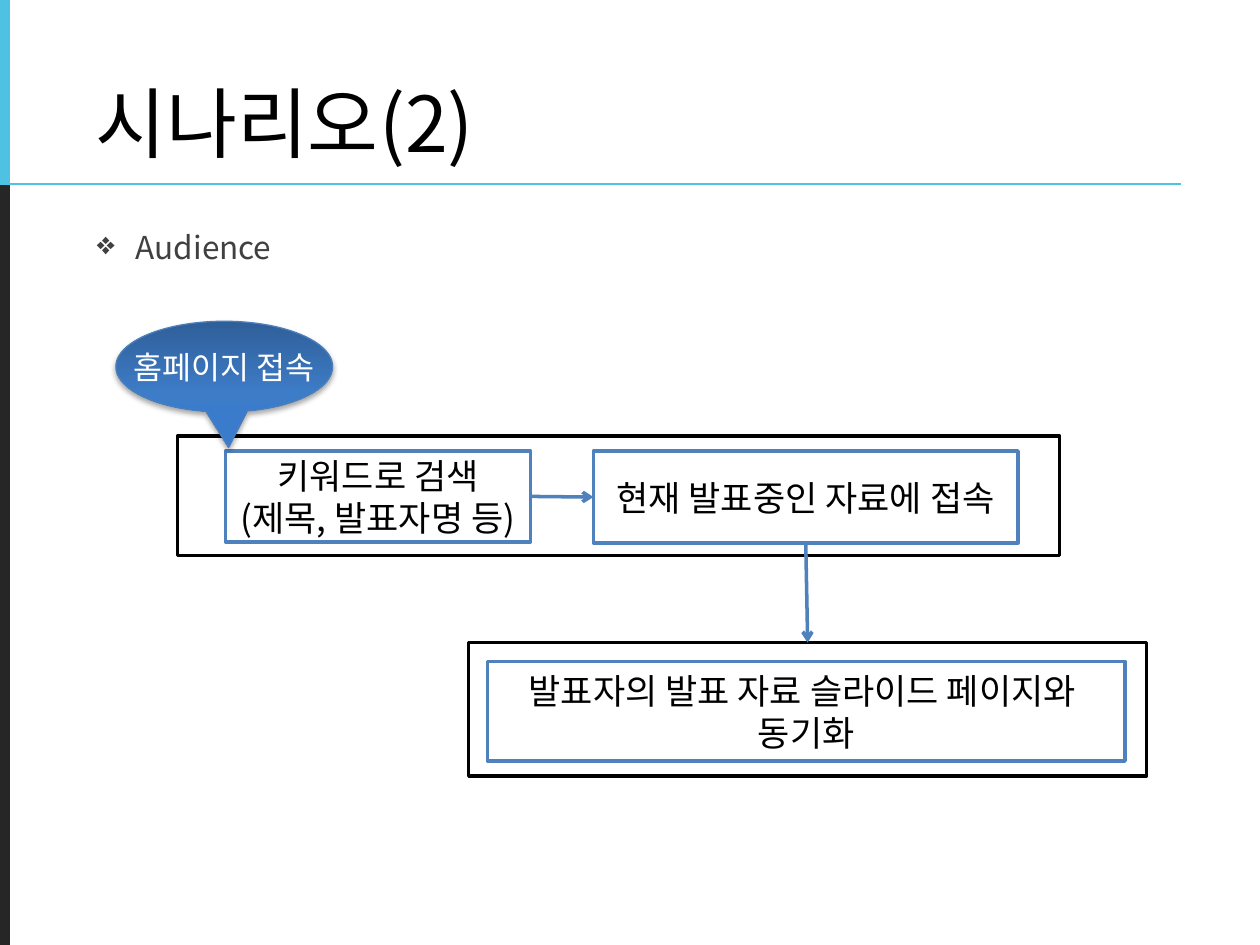
from pptx import Presentation
from pptx.dml.color import RGBColor
from pptx.enum import shapes, text
from pptx.oxml import parse_xml
from pptx.oxml.ns import nsdecls, qn
from pptx.util import Inches, Pt

FONT = "Noto Sans CJK KR"
BLACK = RGBColor(0x00, 0x00, 0x00)
WHITE = RGBColor(0xFF, 0xFF, 0xFF)
CHARCOAL = RGBColor(0x26, 0x26, 0x26)
GREY = RGBColor(0x40, 0x40, 0x40)
CYAN = RGBColor(0x4F, 0xC2, 0xE4)
BLUE = RGBColor(0x4F, 0x81, 0xBD)
CALLOUT_EDGE = RGBColor(0x4B, 0x7E, 0xBC)
CALLOUT_STOPS = [
    (0, RGBColor(0x2F, 0x5F, 0x99)),
    (80, RGBColor(0x3D, 0x7C, 0xC7)),
    (100, RGBColor(0x3A, 0x7C, 0xCB)),
]


def element(xml):
    """Make an XML element, declaring the drawing namespace on its root tag."""
    tag, rest = xml.split(" ", 1)
    return parse_xml(f"{tag} {nsdecls('a')} {rest}")


def write(shape, lines, size, color, align, anchor, wrap):
    frame = shape.text_frame
    frame.text = "\n".join(lines)
    frame.word_wrap = wrap
    frame.vertical_anchor = anchor
    for para in frame.paragraphs:
        para.alignment = align
        for span in para.runs:
            span.font.size = Pt(size)
            span.font.name = FONT
            span.font.color.rgb = color
            span.font._element.append(element(f'<a:ea typeface="{FONT}"/>'))


def add_text(page, left, top, width, height, words, size, color, anchor):
    box = page.shapes.add_textbox(
        Inches(left), Inches(top), Inches(width), Inches(height))
    write(box, [words], size, color, text.PP_ALIGN.LEFT, anchor, True)
    return box


def add_bullet(para, mark, indent):
    properties = para._p.get_or_add_pPr()
    properties.set("marL", str(Inches(indent)))
    properties.set("indent", str(-Inches(indent)))
    properties.append(element(f'<a:buChar char="{mark}"/>'))


def add_shape(page, kind, left, top, width, height, edge, weight):
    shape = page.shapes.add_shape(
        kind, Inches(left), Inches(top), Inches(width), Inches(height))
    shape.shadow.inherit = False
    shape.line.color.rgb = edge
    shape.line.width = Pt(weight)
    return shape


def add_box(page, left, top, width, height, edge, lines=()):
    box = add_shape(page, shapes.MSO_SHAPE.RECTANGLE,
                    left, top, width, height, edge, 2)
    box.fill.solid()
    box.fill.fore_color.rgb = WHITE
    if lines:
        write(box, lines, 20, BLACK, text.PP_ALIGN.CENTER,
              text.MSO_ANCHOR.MIDDLE, False)
    return box


def add_line(page, start, end, color, weight):
    line = page.shapes.add_connector(
        shapes.MSO_CONNECTOR.STRAIGHT, *map(Inches, start + end))
    line.line.color.rgb = color
    line.line.width = Pt(weight)
    line._element.spPr.append(element("<a:effectLst />"))
    return line


def add_arrow(page, source, source_side, target, target_side):
    arrow = add_line(page, (0, 0), (0, 0), BLUE, 2)
    arrow.begin_connect(source, source_side)
    arrow.end_connect(target, target_side)
    arrow.line._get_or_add_ln().append(element('<a:tailEnd type="arrow"/>'))


def add_callout(page, left, top, width, height, words):
    """Add a shaded speech bubble whose tip points down."""
    callout = add_shape(page, shapes.MSO_SHAPE.OVAL_CALLOUT,
                        left, top, width, height, CALLOUT_EDGE, 0.75)
    callout.adjustments[0] = 0.02
    callout.adjustments[1] = 0.89
    callout.fill.gradient()
    callout.fill.gradient_angle = 270
    properties = callout._element.spPr
    stops = properties.find(qn("a:gradFill")).find(qn("a:gsLst"))
    stops.clear()
    for position, color in CALLOUT_STOPS:
        stops.append(element(
            f'<a:gs pos="{position * 1000}"><a:srgbClr val="{color}"/></a:gs>'))
    properties.find(qn("a:effectLst")).append(element(
        f'<a:outerShdw blurRad="{Pt(3.1)}" dist="{Pt(1.8)}" dir="5400000" '
        f'rotWithShape="0"><a:srgbClr val="{BLACK}"><a:alpha val="35000"/>'
        '</a:srgbClr></a:outerShdw>'))
    write(callout, [words], 18, WHITE, text.PP_ALIGN.CENTER,
          text.MSO_ANCHOR.MIDDLE, False)


def add_heading(page):
    add_line(page, (0.04, 0), (0.04, 1.47), CYAN, 6)
    add_line(page, (0.04, 1.47), (0.04, 7.5), CHARCOAL, 6)
    add_line(page, (0, 1.46), (9.37, 1.46), CYAN, 1.5)
    add_text(page, 0.66, 0.13, 8.67, 1.25, "시나리오(2)", 44, BLACK,
             text.MSO_ANCHOR.BOTTOM)
    body = add_text(page, 0.67, 1.7, 8.66, 4.95, "Audience", 18, GREY,
                    text.MSO_ANCHOR.TOP)
    para = body.text_frame.paragraphs[0]
    para.line_spacing = 1.2
    para.space_before = Pt(3.6)
    add_bullet(para, "❖", 0.31)


def add_flow(page):
    sync_frame = add_box(page, 3.72, 5.1, 5.38, 1.06, BLACK)
    add_box(page, 1.41, 3.46, 7, 0.95, BLACK)
    search = add_box(page, 1.79, 3.58, 2.42, 0.72, BLUE,
                     ["키워드로 검색", "(제목, 발표자명 등)"])
    join = add_box(page, 4.71, 3.58, 3.37, 0.73, BLUE,
                   ["현재 발표중인 자료에 접속"])
    add_box(page, 3.87, 5.25, 5.06, 0.79, BLUE,
            ["발표자의 발표 자료 슬라이드 페이지와 ", "동기화"])
    add_arrow(page, search, 3, join, 1)
    add_arrow(page, join, 2, sync_frame, 0)
    add_callout(page, 0.92, 2.55, 1.72, 0.72, "홈페이지 접속")


def main():
    deck = Presentation()
    deck.slide_width = Inches(10)
    deck.slide_height = Inches(7.5)
    page = deck.slides.add_slide(deck.slide_layouts[6])
    add_heading(page)
    add_flow(page)
    deck.save("out.pptx")


if __name__ == "__main__":
    main()
